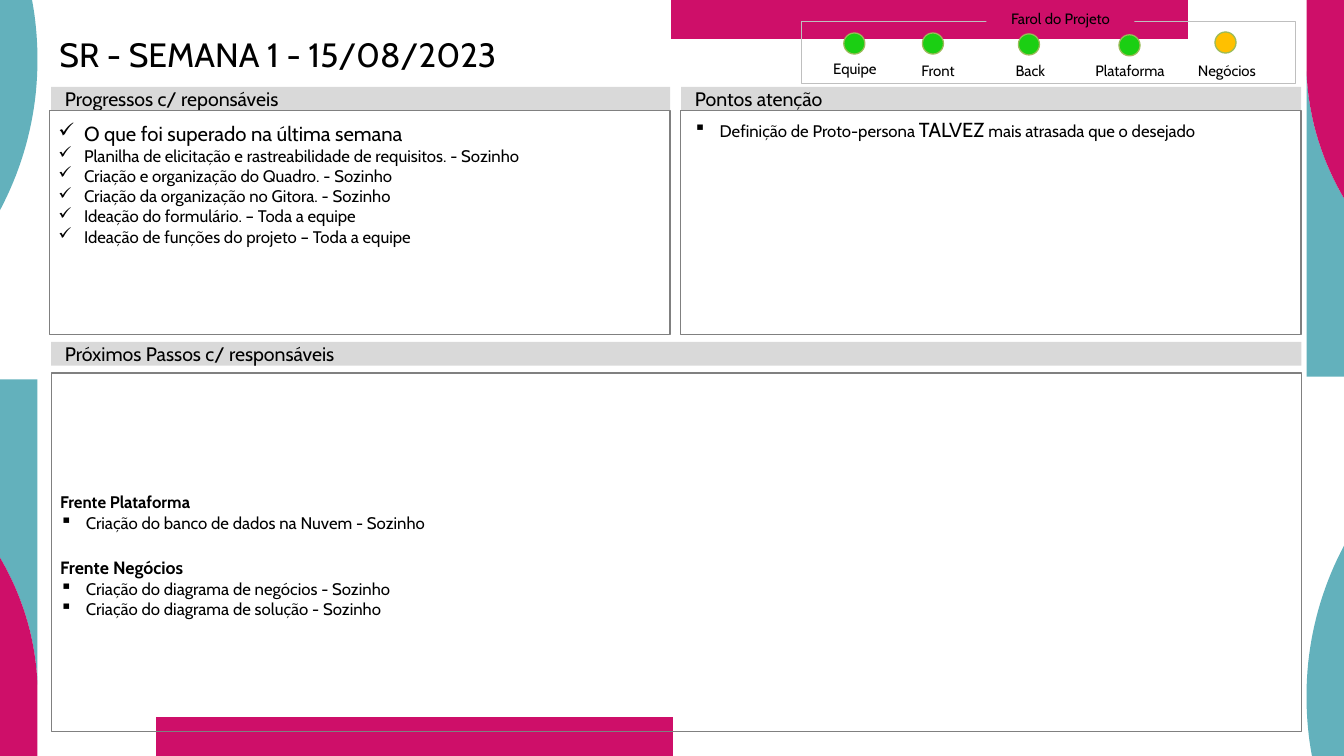
from collections import namedtuple
from dataclasses import dataclass

from lxml.etree import SubElement
from pptx import Presentation
from pptx.dml.color import RGBColor
from pptx.enum.shapes import MSO_SHAPE
from pptx.enum.text import MSO_ANCHOR, PP_ALIGN
from pptx.oxml.ns import qn
from pptx.util import Pt

Box = namedtuple("Box", "left top width height")
Run = namedtuple("Run", "text size bold", defaults=(False,))
Line = namedtuple("Line", "runs bullet space_before", defaults=(None, 0))


@dataclass(frozen=True)
class Theme:
    font: str = "Cabin"
    text: str = "000000"
    teal: str = "63B1BC"
    magenta: str = "CE0F69"
    header: str = "D9D9D9"
    frame: str = "808080"
    panel_line: str = "BFBFBF"
    light_line: str = "9BBB59"
    green: str = "1BCF13"
    amber: str = "FFC000"
    title_size: float = 26.5
    lead_size: float = 16
    header_size: float = 15.4
    group_size: float = 14
    body_size: float = 13.2
    label_size: float = 11.8


THEME = Theme()
PAGE = Box(0, 0, 1058.4, 595.44)
INDENT = 20.2
HEADER_HEIGHT = 18.7
LIGHT_SIZE = 16.6
LABEL_WIDTH, LABEL_HEIGHT = 70.6, 14.4


def paint(shape, fill=None, line=None, weight=1):
    shape.shadow.inherit = False
    if fill:
        shape.fill.solid()
        shape.fill.fore_color.rgb = RGBColor.from_string(fill)
    else:
        shape.fill.background()
    if line:
        shape.line.color.rgb = RGBColor.from_string(line)
        shape.line.width = Pt(weight)
    else:
        shape.line.fill.background()


def add_preset(slide, kind, box, fill=None, line=None, weight=1):
    shape = slide.shapes.add_shape(kind, *map(Pt, box))
    paint(shape, fill, line, weight)
    return shape


def write(shape, lines, insets, anchor=MSO_ANCHOR.TOP, align=PP_ALIGN.LEFT, wrap=True):
    frame = shape.text_frame
    frame.word_wrap = wrap
    frame.vertical_anchor = anchor
    (frame.margin_left, frame.margin_top,
     frame.margin_right, frame.margin_bottom) = map(Pt, insets)
    for index, line in enumerate(lines):
        paragraph = frame.add_paragraph() if index else frame.paragraphs[0]
        paragraph.alignment = align
        if line.space_before:
            paragraph.space_before = Pt(line.space_before)
        if line.bullet:
            properties = paragraph._p.get_or_add_pPr()
            properties.set("marL", str(Pt(INDENT)))
            properties.set("indent", str(-Pt(INDENT)))
            SubElement(properties, qn("a:buChar")).set("char", line.bullet)
        for part in line.runs:
            run = paragraph.add_run()
            run.text = part.text
            run.font.name = THEME.font
            run.font.size = Pt(part.size)
            run.font.bold = part.bold
            run.font.color.rgb = RGBColor.from_string(THEME.text)
    return frame


def curve(start, first, second, end, steps=20):
    """Points along a cubic curve, without its start."""
    points = []
    for step in range(1, steps + 1):
        t = step / steps
        weights = ((1 - t) ** 3, 3 * t * (1 - t) ** 2, 3 * t * t * (1 - t), t ** 3)
        points.append(tuple(
            sum(weight * value for weight, value in zip(weights, axis))
            for axis in zip(start, first, second, end)))
    return points


def add_decoration(slide, page):
    """Top ornaments, and the same ones turned half a circle at the bottom."""
    right, inner = page.width, page.width - 29.5
    disc = [(25.2, 0), (0, 0), (0, 165.6),
            *curve((0, 165.6), (18.7, 130.3), (29.5, 90), (29.5, 47.5)),
            *curve((29.5, 47.5), (29.5, 31), (28.1, 15.1), (25.2, 0))]
    band = [(528.5, 0), (935.3, 0), (935.3, 31), (528.5, 31)]
    arc = curve((inner, 56.2), (inner + 1.4, 92.9), (right - 17.3, 126.7), (right, 156.2))
    lower = [(inner, 56.2), (inner, 296.6), (right, 296.6), *reversed(arc)]
    upper = [(right, 0), (inner, 0), (inner, 56.2), *arc]
    ornaments = ((disc, THEME.teal), (band, THEME.magenta),
                 (lower, THEME.teal), (upper, THEME.magenta))
    for turned in (False, True):
        for outline, color in ornaments:
            points = [(Pt(page.left + (page.width - x if turned else x)),
                       Pt(page.top + (page.height - y if turned else y)))
                      for x, y in outline]
            builder = slide.shapes.build_freeform(*points[0])
            builder.add_line_segments(points[1:], close=True)
            paint(builder.convert_to_shape(), color)


def add_title(slide, box, text):
    shape = slide.shapes.add_textbox(*map(Pt, box))
    frame = write(shape, [Line([Run(text, THEME.title_size)])], (8.6, 0, 8.6, 0))
    frame.paragraphs[0].line_spacing = 0.9


def add_section(slide, box, heading, lines, gap=0, shift=0,
                insets=(7.2, 8.6, 7.2, 3.6), anchor=MSO_ANCHOR.TOP, columns=1):
    """Grey heading bar with a framed text area below it."""
    bar = add_preset(slide, MSO_SHAPE.RECTANGLE,
                     box._replace(height=HEADER_HEIGHT), THEME.header)
    write(bar, [Line([Run(heading, THEME.header_size)])],
          (10.8, 5, 10.8, 5), MSO_ANCHOR.MIDDLE)
    offset = HEADER_HEIGHT + gap
    area = Box(box.left + shift, box.top + offset, box.width - shift, box.height - offset)
    body = add_preset(slide, MSO_SHAPE.RECTANGLE, area, line=THEME.frame)
    frame = write(body, lines, insets, anchor)
    if columns > 1:
        frame._txBody.bodyPr.set("numCol", str(columns))


def add_label(slide, box, text, fill=None):
    shape = add_preset(slide, MSO_SHAPE.RECTANGLE, box, fill)
    write(shape, [Line([Run(text, THEME.label_size)])], (4.3, 4.3, 4.3, 0),
          MSO_ANCHOR.BOTTOM, PP_ALIGN.CENTER, wrap=False)


def add_status_panel(slide, box, heading, statuses):
    """Framed row of status lights, each with its label."""
    add_preset(slide, MSO_SHAPE.RECTANGLE, box, line=THEME.panel_line, weight=0.5)
    for name, color, light_x, light_y, label_x, label_y in statuses:
        light = Box(box.left + light_x - LIGHT_SIZE / 2, box.top + light_y,
                    LIGHT_SIZE, LIGHT_SIZE)
        add_preset(slide, MSO_SHAPE.OVAL, light, color, THEME.light_line)
        add_label(slide, Box(box.left + label_x - LABEL_WIDTH / 2, box.top + label_y,
                             LABEL_WIDTH, LABEL_HEIGHT), name)
    add_label(slide, Box(box.left + 145.4, box.top - 11.5, 116.6, 16.6),
              heading, THEME.magenta)


def bullets(symbol, *texts):
    return [Line([Run(text, THEME.body_size)], symbol) for text in texts]


def main():
    presentation = Presentation()
    presentation.slide_width, presentation.slide_height = Pt(PAGE.width), Pt(PAGE.height)
    slide = presentation.slides.add_slide(presentation.slide_layouts[6])
    add_decoration(slide, PAGE)
    add_title(slide, Box(38.2, 30.2, 952.6, 63.4), "SR - SEMANA 1 - 15/08/2023")

    # Progress and points of attention
    progress = [Line([Run("O que foi superado na última semana", THEME.lead_size)], "✓")]
    progress += bullets(
        "✓",
        "Planilha de elicitação e rastreabilidade de requisitos. - Sozinho",
        "Criação e organização do Quadro. - Sozinho",
        "Criação da organização no Gitora. - Sozinho",
        "Ideação do formulário. – Toda a equipe",
        "Ideação de funções do projeto – Toda a equipe")
    add_section(slide, Box(40.3, 68.4, 487.4, 195.1), "Progressos c/ reponsáveis",
                progress, shift=-1.4)
    attention = [Line([Run("Definição de Proto-persona ", THEME.body_size),
                       Run("TALVEZ", THEME.lead_size),
                       Run(" mais atrasada que o desejado", THEME.body_size)], "▪")]
    add_section(slide, Box(536.4, 68.4, 488.2, 195.1), "Pontos atenção",
                attention, shift=-0.7, insets=(10.8, 5, 7.2, 3.6))

    # Next steps
    steps = [Line([Run("Frente Plataforma", THEME.body_size, True)]),
             *bullets("▪", "Criação do banco de dados na Nuvem - Sozinho"),
             Line([Run("Frente Negócios", THEME.group_size, True)], space_before=19.4),
             *bullets("▪", "Criação do diagrama de negócios - Sozinho",
                      "Criação do diagrama de solução - Sozinho")]
    add_section(slide, Box(40.3, 269.3, 984.6, 306.7), "Próximos Passos c/ responsáveis",
                steps, gap=5.8, anchor=MSO_ANCHOR.MIDDLE, columns=3)

    # Project status: light centre and top, label centre and top
    add_status_panel(slide, Box(631.4, 16.6, 388.8, 49), "Farol do Projeto", [
        ("Equipe", THEME.green, 41.4, 9.4, 41.8, 30.2),
        ("Front", THEME.green, 103.3, 9.4, 107.3, 31.7),
        ("Back", THEME.green, 178.9, 10.1, 180, 31.7),
        ("Plataforma", THEME.green, 258.1, 10.8, 258.5, 31.7),
        ("Negócios", THEME.amber, 333.7, 8.6, 334.8, 31.7)])
    presentation.save("out.pptx")


if __name__ == "__main__":
    main()
